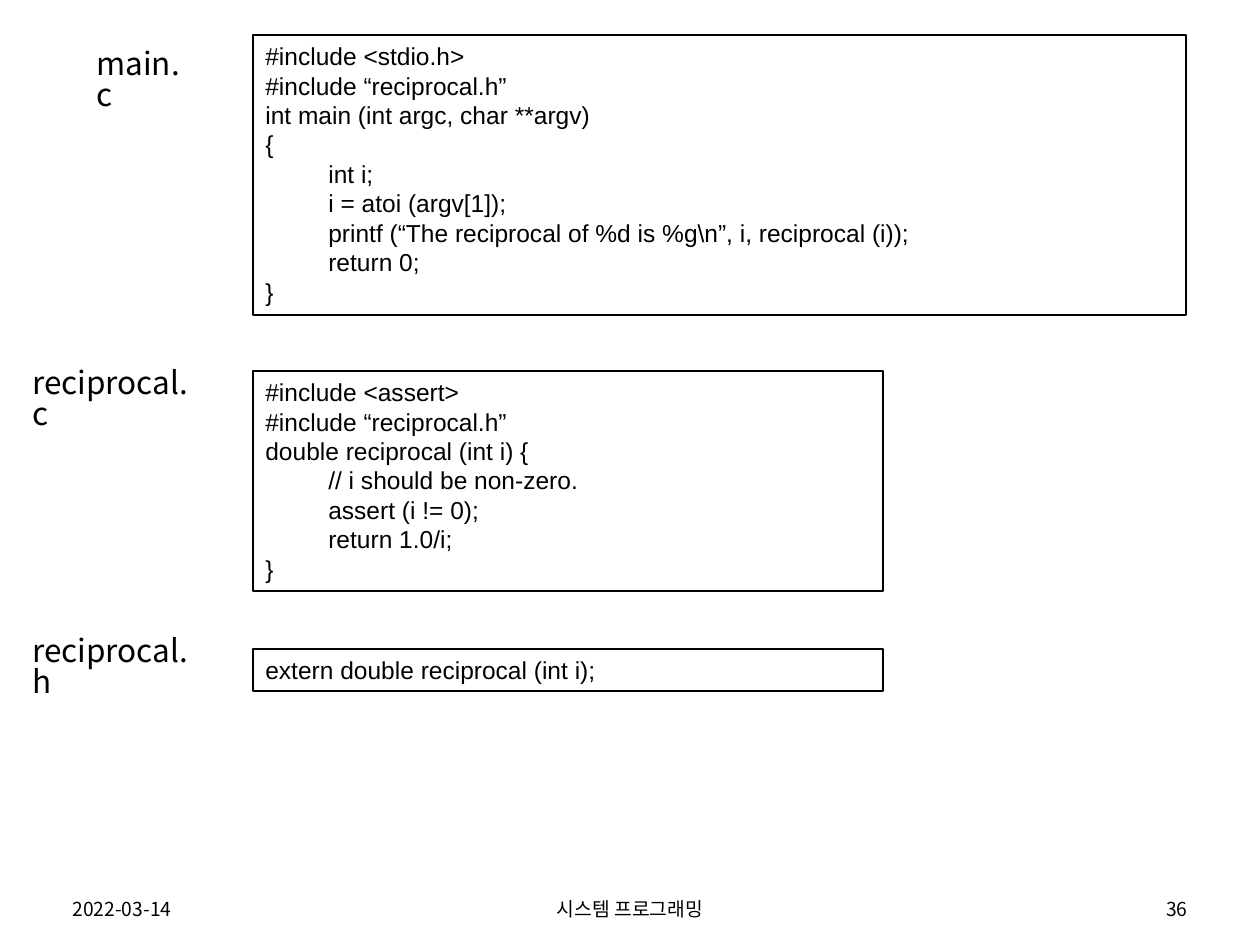
from pptx import Presentation
from pptx.dml.color import RGBColor
from pptx.enum.shapes import MSO_SHAPE
from pptx.enum.text import MSO_ANCHOR, PP_ALIGN
from pptx.util import Emu, Pt

PX = 914400 // 126
SANS = "Noto Sans CJK KR"
MONTH_DAY_Y, FOOTER_H = 891, 35
CODE_X = 253

MAIN_C = """#include <stdio.h>
#include “reciprocal.h”
int main (int argc, char **argv)
{
\tint i;
\ti = atoi (argv[1]);
\tprintf (“The reciprocal of %d is %g\\n”, i, reciprocal (i));
\treturn 0;
}"""
RECIPROCAL_C = """#include <assert>
#include “reciprocal.h”
double reciprocal (int i) {
\t// i should be non-zero.
\tassert (i != 0);
\treturn 1.0/i;
}"""
RECIPROCAL_H = "extern double reciprocal (int i);"

# File name, label box, code, code box (top, width, height)
FILES = [
    ("main.c", (84, 44, 120, 50), MAIN_C, (35, 933, 280)),
    ("reciprocal.c", (20, 363, 193, 50), RECIPROCAL_C, (371, 630, 220)),
    ("reciprocal.h", (20, 631, 196, 50), RECIPROCAL_H, (649, 630, 42)),
]
FOOTER = [
    ("2022-03-14", 60, 284, PP_ALIGN.LEFT),
    ("시스템 프로그래밍", 417, 426, PP_ALIGN.CENTER),
    ("36", 916, 284, PP_ALIGN.RIGHT),
]


def color(value):
    return RGBColor.from_string(value)


def emu(*lengths):
    return [Emu(n * PX) for n in lengths]


def write(sp, text, font, size, align=PP_ALIGN.LEFT, anchor=MSO_ANCHOR.TOP,
          spacing=None):
    tf = sp.text_frame
    tf.word_wrap = True
    tf.vertical_anchor = anchor
    tf.text = text
    for p in tf.paragraphs:
        p.alignment = align
        p.line_spacing = spacing
        p.font.name = font
        p.font.size = Pt(size)
        p.font.color.rgb = color("000000")


def add_file(s, name, label_box, code, code_box):
    # File name on the left
    label = s.shapes.add_textbox(*emu(*label_box))
    write(label, name, SANS, 18, spacing=0.83)

    # Framed listing on the right
    top, width, height = code_box
    frame = s.shapes.add_shape(MSO_SHAPE.RECTANGLE,
                               *emu(CODE_X, top, width, height))
    frame.shadow.inherit = False
    frame.fill.background()
    frame.line.color.rgb = color("000000")
    frame.line.width = Pt(0.75)
    write(frame, code, "Arial", 14)


def add_footer(s, top, height):
    for text, left, width, align in FOOTER:
        sp = s.shapes.add_textbox(*emu(left, top, width, height))
        write(sp, text, SANS, 11, align, MSO_ANCHOR.MIDDLE)


def main():
    prs = Presentation()
    prs.slide_width, prs.slide_height = emu(1260, 945)
    s = prs.slides.add_slide(prs.slide_layouts[6])
    add_footer(s, MONTH_DAY_Y, FOOTER_H)
    for file in FILES:
        add_file(s, *file)
    prs.save("out.pptx")


if __name__ == "__main__":
    main()
